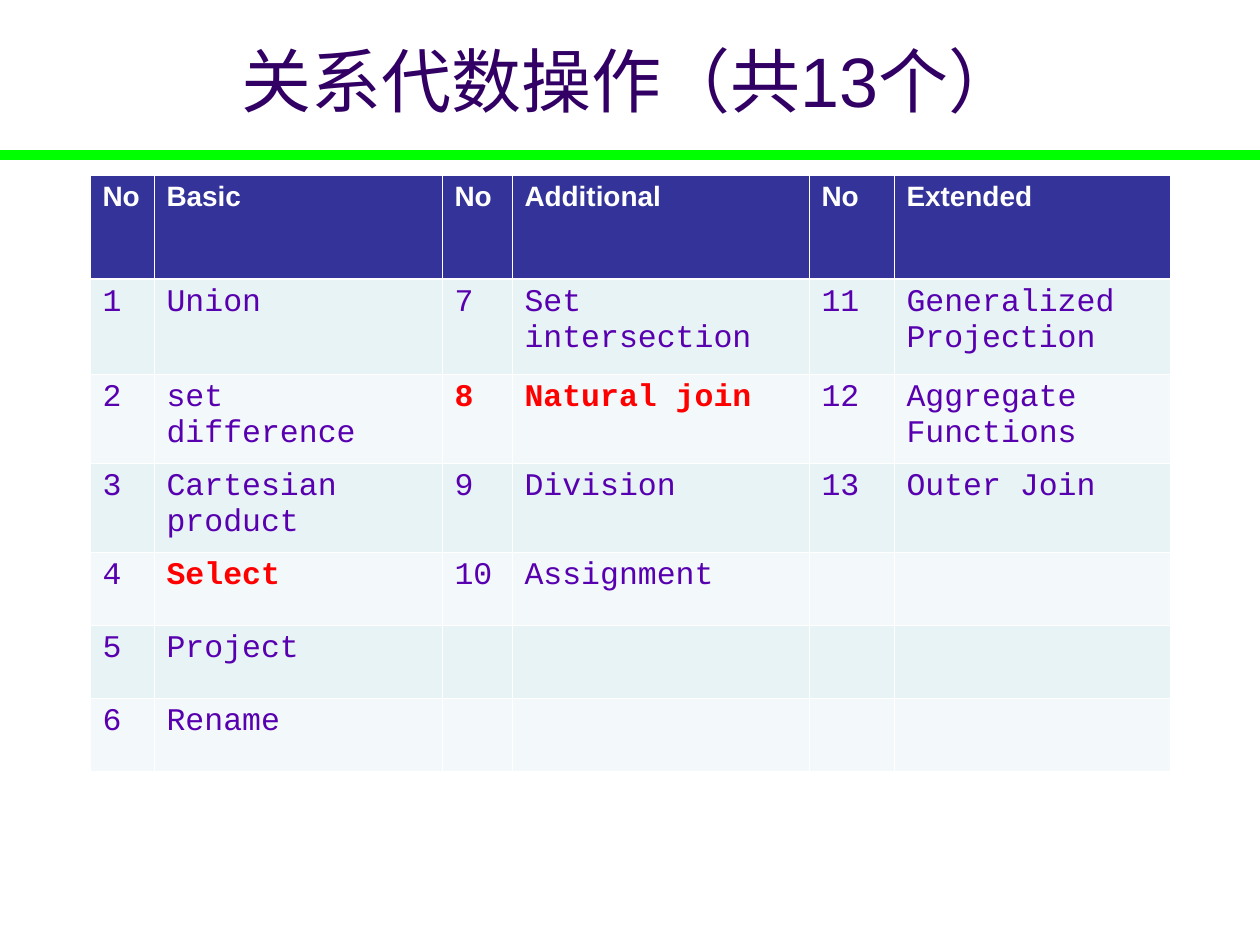
from dataclasses import dataclass

from lxml import etree
from pptx import Presentation
from pptx.dml.color import RGBColor
from pptx.enum.shapes import MSO_CONNECTOR
from pptx.enum.text import MSO_ANCHOR, MSO_AUTO_SIZE, PP_ALIGN
from pptx.oxml.ns import qn
from pptx.util import Emu, Pt

STRAIGHT = MSO_CONNECTOR.STRAIGHT
MIDDLE, TOP = MSO_ANCHOR.MIDDLE, MSO_ANCHOR.TOP
CENTER = PP_ALIGN.CENTER
NO_AUTOFIT = MSO_AUTO_SIZE.NONE
PX_PER_INCH = 126
TITLE_ONLY = 5


@dataclass(frozen=True)
class Theme:
    title: str = "320064"
    rule: str = "00FF00"
    header: str = "333399"
    white: str = "FFFFFF"
    bands: tuple = ("E7F3F4", "F3F9FA")
    body: str = "5800B0"
    accent: str = "FF0000"
    sans: str = "Arial"
    mono: str = "Courier New"
    cjk: str = "Noto Sans CJK SC"
    title_size: int = 40
    header_size: int = 16
    body_size: int = 18
    rule_width: float = 6.25
    grid_width: float = 0.45
    header_line: float = 1.47


THEME = Theme()

TITLE_RUNS = [("关系代数操作(".replace("(", "（"), THEME.cjk),
              ("共13个", THEME.sans),
              ("）", THEME.cjk)]
GROUPS = [
    ("Basic", ["Union", "set difference", "Cartesian product",
               "Select", "Project", "Rename"]),
    ("Additional", ["Set intersection", "Natural join",
                    "Division", "Assignment"]),
    ("Extended", ["Generalized Projection", "Aggregate Functions",
                  "Outer Join"]),
]
HIGHLIGHTS = {(4, 1), (2, 2), (2, 3)}  # (row, column)
COL_WIDTHS = [64, 288, 70, 297, 85, 276]
ROW_HEIGHTS = [104, 95, 89, 89, 73, 73, 73]


def px(n):
    return Emu(round(n * 914400 / PX_PER_INCH))


def rgb(color):
    return RGBColor.from_string(color)


def style_font(font, name, size, color, bold=False):
    font.name, font.size, font.bold = name, Pt(size), bold
    font.color.rgb = rgb(color)


def add_rule(slide, y):
    line = slide.shapes.add_connector(STRAIGHT, 0, px(y), px(1260), px(y))
    line.line.color.rgb = rgb(THEME.rule)
    line.line.width = Pt(THEME.rule_width)
    etree.SubElement(line._element.spPr, qn("a:effectLst"))


def set_title(slide):
    sp = slide.shapes.title
    sp.left, sp.top, sp.width, sp.height = 0, 0, px(1260), px(160)
    tf = sp.text_frame
    tf.auto_size, tf.vertical_anchor = NO_AUTOFIT, MIDDLE
    p = tf.paragraphs[0]
    p.alignment = CENTER
    for text, name in TITLE_RUNS:
        r = p.add_run()
        r.text = text
        style_font(r.font, name, THEME.title_size, THEME.title)
        ea = etree.SubElement(r.font._element, qn("a:ea"))
        ea.set("typeface", THEME.cjk)


def set_borders(cell, widths):
    tc_pr = cell._tc.get_or_add_tcPr()
    for i, (side, width) in enumerate(widths.items()):
        ln = etree.Element(qn(f"a:ln{side}"), w=str(Pt(width)))
        fill = etree.SubElement(ln, qn("a:solidFill"))
        etree.SubElement(fill, qn("a:srgbClr"), val=THEME.white)
        tc_pr.insert(i, ln)


def format_cell(cell, row, col, text):
    is_header = row == 0
    cell.text = text
    cell.vertical_anchor = TOP
    cell.fill.solid()
    fill = THEME.header if is_header else THEME.bands[(row - 1) % 2]
    cell.fill.fore_color.rgb = rgb(fill)
    font = cell.text_frame.paragraphs[0].font
    if is_header:
        style_font(font, THEME.sans, THEME.header_size, THEME.white, True)
    else:
        marked = (row, col) in HIGHLIGHTS
        style_font(font, THEME.mono, THEME.body_size,
                   THEME.accent if marked else THEME.body, marked)
    widths = dict.fromkeys("LRTB", THEME.grid_width)
    if row < 2:
        widths["B" if is_header else "T"] = THEME.header_line
    set_borders(cell, widths)


def operation_rows():
    """Number the operations through the groups, then pad to a grid."""
    rows = [["" for _ in COL_WIDTHS] for _ in ROW_HEIGHTS]
    number = 1
    for g, (heading, names) in enumerate(GROUPS):
        col = 2 * g
        rows[0][col:col + 2] = ["No", heading]
        for row, name in enumerate(names, start=1):
            rows[row][col:col + 2] = [str(number), name]
            number += 1
    return rows


def add_operations_table(slide, left, top):
    rows = operation_rows()
    table = slide.shapes.add_table(
        len(ROW_HEIGHTS), len(COL_WIDTHS), px(left), px(top),
        px(sum(COL_WIDTHS)), px(sum(ROW_HEIGHTS))).table
    for column, width in zip(table.columns, COL_WIDTHS):
        column.width = px(width)
    for row, height in zip(table.rows, ROW_HEIGHTS):
        row.height = px(height)
    for r, texts in enumerate(rows):
        for c, text in enumerate(texts):
            format_cell(table.cell(r, c), r, c, text)


def main():
    prs = Presentation()
    prs.slide_width, prs.slide_height = px(1260), px(945)
    slide = prs.slides.add_slide(prs.slide_layouts[TITLE_ONLY])

    # Title and the green rule under it
    set_title(slide)
    add_rule(slide, 155)

    # Operations by group
    add_operations_table(slide, 90, 175)
    prs.save("out.pptx")


if __name__ == "__main__":
    main()
